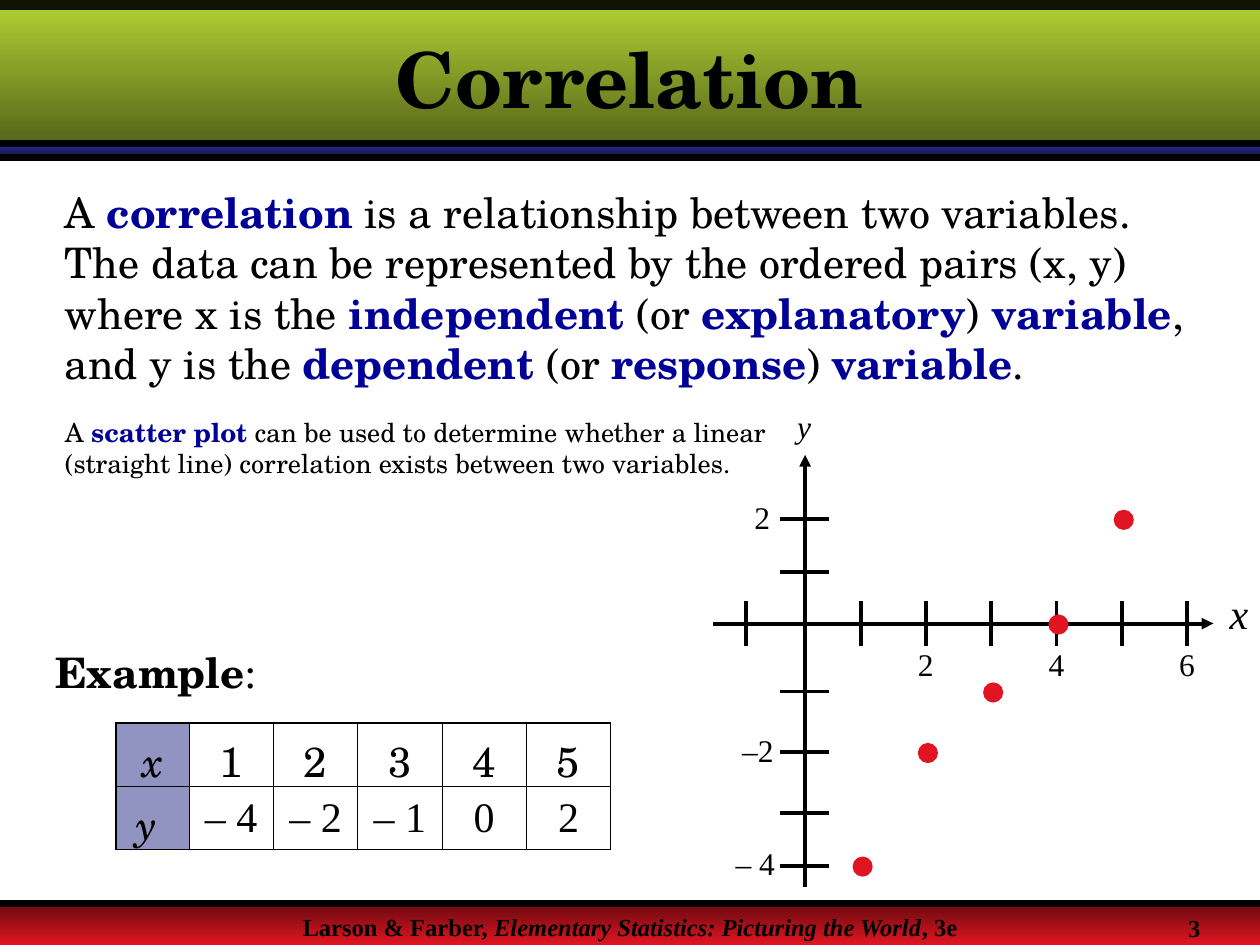
from typing import NamedTuple, Optional

from lxml import etree
from pptx import Presentation
from pptx.dml.color import RGBColor
from pptx.enum import shapes, text
from pptx.oxml import ns
from pptx.util import Cm, Pt

COLORS = {
    "ink": "000000", "term": "000099", "red": "E11521", "dark_red": "680A0F",
    "navy": "242985", "dark_navy": "11133E", "lime": "B5D335", "olive": "546219",
}
SCHOLA = "TeX Gyre Schola"
TIMES = "Times New Roman"
CENTER = text.PP_ALIGN.CENTER
SLIDE_W, SLIDE_H = 25.4, 19.05


class Box(NamedTuple):
    x: float
    y: float
    w: float
    h: float


class Band(NamedTuple):
    box: Box
    top: str
    bottom: str


class Line(NamedTuple):
    x1: float
    y1: float
    x2: float
    y2: float
    width: float = 2.25
    arrow: bool = False


class Label(NamedTuple):
    text: str
    box: Box
    size: float = 18
    italic: bool = False


def rgb(name: str) -> RGBColor:
    return RGBColor.from_string(COLORS[name])


def lengths(box: Box) -> list:
    return [Cm(v) for v in box]


def set_alpha(fill, percent: int) -> None:
    color = fill._xPr.find(ns.qn("a:solidFill"))[0]
    etree.SubElement(color, ns.qn("a:alpha")).set("val", str(percent * 1000))


def write(tf, content: str, *, size: float, font: str = SCHOLA, bold: bool = False,
          italic: bool = False, align=None, accent: Optional[dict] = None) -> None:
    """Write one paragraph; parts between asterisks take the accent format."""
    p = tf.paragraphs[0]
    p.alignment = align
    for i, part in enumerate(content.split("*")):
        if not part:
            continue
        look = {"bold": bold, "italic": italic, "color": "ink"}
        if i % 2:
            look.update(accent or {})
        r = p.add_run()
        r.text = part
        r.font.name, r.font.size = font, Pt(size)
        r.font.bold, r.font.italic = look["bold"], look["italic"]
        r.font.color.rgb = rgb(look["color"])


def add_text(slide, box: Box, content: str, **fmt) -> None:
    tf = slide.shapes.add_textbox(*lengths(box)).text_frame
    tf.word_wrap = True
    write(tf, content, **fmt)


def add_plain_shape(slide, kind, box: Box):
    sp = slide.shapes.add_shape(kind, *lengths(box))
    sp.shadow.inherit = False
    sp.line.fill.background()
    return sp


def add_band(slide, band: Band) -> None:
    fill = add_plain_shape(slide, shapes.MSO_SHAPE.RECTANGLE, band.box).fill
    fill.gradient()
    fill.gradient_angle = 270
    for stop, name, position in zip(fill.gradient_stops, (band.top, band.bottom), (0, 1)):
        stop.color.rgb = rgb(name)
        stop.position = position


def add_line(slide, line: Line) -> None:
    ends = [Cm(v) for v in line[:4]]
    c = slide.shapes.add_connector(shapes.MSO_CONNECTOR.STRAIGHT, *ends)
    c.line.color.rgb = rgb("ink")
    c.line.width = Pt(line.width)
    if line.arrow:
        etree.SubElement(c.line._get_or_add_ln(), ns.qn("a:tailEnd")).set("type", "triangle")
    etree.SubElement(c._element.spPr, ns.qn("a:effectLst"))


def set_borders(cell, widths: dict) -> None:
    tc_pr = cell._tc.get_or_add_tcPr()
    for i, (side, width) in enumerate(widths.items()):
        ln = etree.Element(ns.qn(f"a:ln{side}"), w=str(Pt(width)))
        fill = etree.SubElement(ln, ns.qn("a:solidFill"))
        etree.SubElement(fill, ns.qn("a:srgbClr")).set("val", COLORS["ink"])
        tc_pr.insert(i, ln)


def add_frame(slide, title: str) -> None:
    """Draw the header and footer, and the title on top of the header."""
    footer_y, header_h = 18.21, 2.97
    for band in (
        Band(Box(0, footer_y, SLIDE_W, SLIDE_H - footer_y), "dark_red", "red"),
        Band(Box(0, header_h, SLIDE_W, 0.2), "navy", "dark_navy"),
        Band(Box(0, 0, SLIDE_W, header_h), "lime", "olive"),
    ):
        add_band(slide, band)
    for y in (3.18, footer_y, 2.9):
        add_line(slide, Line(0, y, SLIDE_W, y, 4))
    strip = add_plain_shape(slide, shapes.MSO_SHAPE.RECTANGLE, Box(0, 0, SLIDE_W, 0.2))
    strip.fill.solid()
    strip.fill.fore_color.rgb = rgb("ink")
    set_alpha(strip.fill, 90)

    add_text(slide, Box(0, 18.26, SLIDE_W, 0.51),
             "Larson & Farber, *Elementary Statistics: Picturing the World*, 3e",
             size=14, font=TIMES, bold=True, align=CENTER, accent={"italic": True})
    add_text(slide, Box(23.7, 18.29, 1.7, 0.86), "3", size=14, font=TIMES, bold=True)

    sp = slide.shapes.title
    sp.left, sp.top, sp.width, sp.height = lengths(Box(0, 0.2, SLIDE_W, 2.74))
    sp.text_frame.auto_size = text.MSO_AUTO_SIZE.NONE
    sp.text_frame.vertical_anchor = text.MSO_ANCHOR.MIDDLE
    write(sp.text_frame, title, size=44, bold=True, align=CENTER)
    slide.shapes._spTree.append(sp._element)


def add_scatter_plot(slide, points: list) -> None:
    axis_x, axis_y = 16.23, 12.57
    x_at = {n: 17.35 + 1.316 * (n - 1) for n in range(1, 7)} | {-1: 15.04}
    y_at = {2: 10.46, 1: 11.53, 0: axis_y, -1: 13.94, -2: 15.16, -3: 16.38, -4: 17.45}

    add_line(slide, Line(14.38, axis_y, 24.46, axis_y, arrow=True))
    add_line(slide, Line(axis_x, 17.88, axis_x, 9.17, arrow=True))
    for x in x_at.values():
        add_line(slide, Line(x, axis_y - 0.45, x, axis_y + 0.46))
    for n, y in y_at.items():
        if n:
            add_line(slide, Line(15.72, y, 16.71, y))

    labels = [Label(str(n), Box(x_at[n] - 0.41, 12.88, 1.52, 1.02)) for n in (2, 4, 6)]
    labels += [Label(name, Box(x, y_at[n] - 0.55, 1.52, 1.02))
               for n, name, x in ((2, "2", 14.96), (-2, "–2", 14.71), (-4, "– 4", 14.58))]
    labels += [Label("x", Box(24.54, 11.71, 1.5, 1.27), 24, True),
               Label("y", Box(15.82, 8.08, 1.75, 1.02), italic=True)]
    for label in labels:
        add_text(slide, label.box, label.text, size=label.size, font=TIMES,
                 italic=label.italic)

    size = 0.38
    for x, y in points:
        box = Box(x_at[x] + 0.04 - size / 2, y_at[y] + 0.02 - size / 2, size, size)
        dot = add_plain_shape(slide, shapes.MSO_SHAPE.OVAL, box)
        dot.fill.solid()
        dot.fill.fore_color.rgb = rgb("red")
        dot.line.color.rgb = rgb("red")
        dot.line.width = Pt(0.75)


def add_data_table(slide, points: list) -> None:
    xs, ys = zip(*points)
    rows = [["x", *map(str, xs)],
            ["y ", *(f"– {-y}" if y < 0 else str(y) for y in ys)]]
    last_row, last_col = len(rows) - 1, len(xs)
    table = slide.shapes.add_table(len(rows), last_col + 1,
                                   *lengths(Box(2.34, 14.58, 9.97, 2.54))).table
    for c, col in enumerate(table.columns):
        col.width = Cm(1.7 if c else 1.47)
    for r, row in enumerate(rows):
        for c, value in enumerate(row):
            cell = table.cell(r, c)
            cell.vertical_anchor = text.MSO_ANCHOR.MIDDLE
            write(cell.text_frame, value, size=24, italic=c == 0, align=CENTER,
                  font=TIMES if r and c else SCHOLA)
            if c:
                cell.fill.background()
            else:
                cell.fill.solid()
                cell.fill.fore_color.rgb = rgb("navy")
                set_alpha(cell.fill, 50)
            outer = {"L": c == 0, "R": c == last_col, "T": r == 0, "B": r == last_row}
            set_borders(cell, {side: 1.08 if out else 0.45 for side, out in outer.items()})


def main() -> None:
    prs = Presentation()
    prs.slide_width, prs.slide_height = Cm(SLIDE_W), Cm(SLIDE_H)
    slide = prs.slides.add_slide(prs.slide_layouts[5])
    points = [(1, -4), (2, -2), (3, -1), (4, 0), (5, 2)]
    term = {"bold": True, "color": "term"}

    add_frame(slide, "Correlation")
    add_text(slide, Box(1.06, 3.63, 23.29, 4.34),
             "A *correlation* is a relationship between two variables. The data can be "
             "represented by the ordered pairs (x, y) where x is the *independent* (or "
             "*explanatory*) *variable*, and y is the *dependent* (or *response*) *variable*.",
             size=24, accent=term)
    add_text(slide, Box(1.06, 8.26, 15.04, 2.34),
             "A *scatter plot* can be used to determine whether a linear (straight line) "
             "correlation exists between two variables.", size=15, accent=term)
    add_scatter_plot(slide, points)
    add_data_table(slide, points)
    add_text(slide, Box(0.86, 12.9, 4.57, 1.27), "*Example*:", size=24,
             accent={"bold": True})
    prs.save("out.pptx")


if __name__ == "__main__":
    main()
